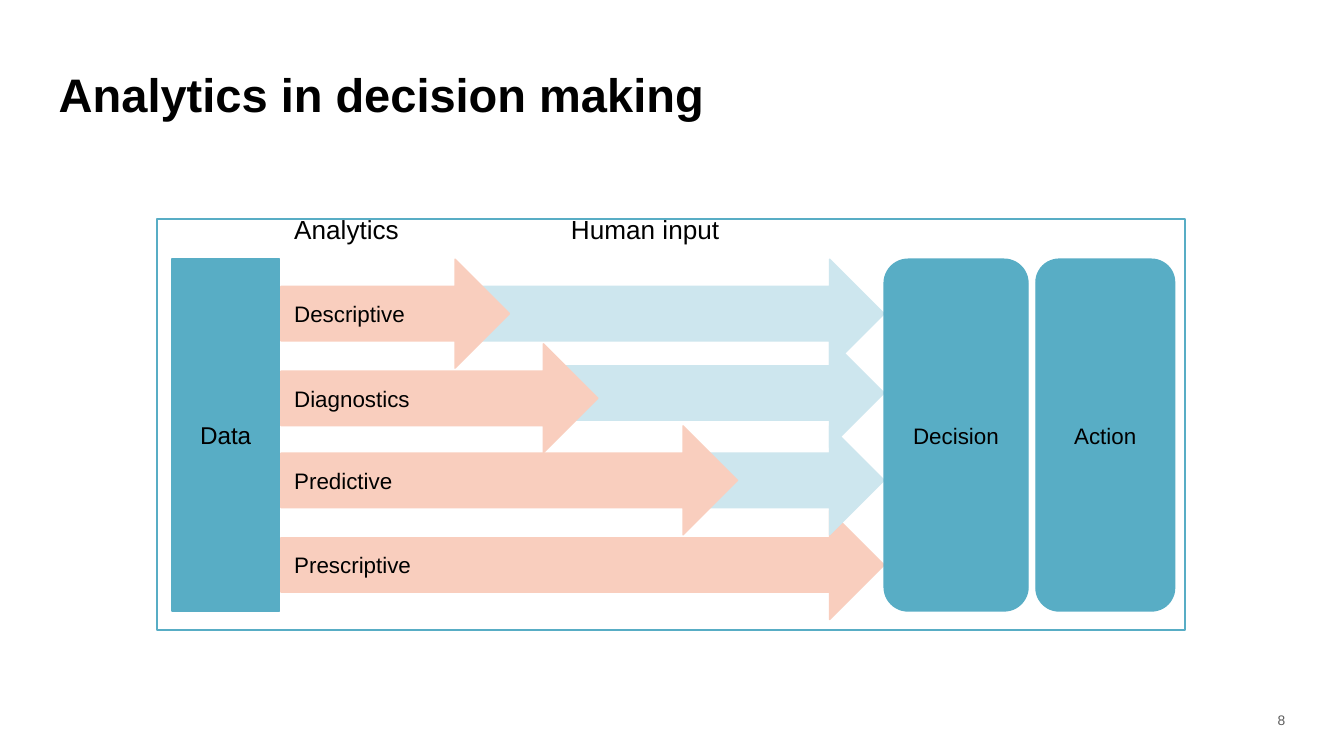
from pptx import Presentation
from pptx.dml.color import RGBColor
from pptx.enum import shapes, text
from pptx.util import Cm, Pt

BLACK = RGBColor(0, 0, 0)
WHITE = RGBColor(255, 255, 255)
GREY = RGBColor(0x5D, 0x5D, 0x5D)
TEAL = RGBColor(0x58, 0xAD, 0xC5)
PALE = RGBColor(0xCD, 0xE6, 0xEE)
PEACH = RGBColor(0xF9, 0xCE, 0xBE)

KIND = shapes.MSO_SHAPE
ALIGN = text.PP_ALIGN
ANCHOR = text.MSO_ANCHOR

# All lengths are in centimetres.
TITLE = "Analytics in decision making"
NUMBER = "8"
PANEL = (2.97, 4.14, 19.43, 7.77)
TOP, TALL = 4.9, 6.65
START, END, THICK = 5.31, 16.71, 2.06

# label, kind, left, width, text size
BLOCKS = [
    ("Data", KIND.RECTANGLE, 3.25, 2.03, 13),
    ("Decision", KIND.ROUNDED_RECTANGLE, END, 2.72, 12),
    ("Action", KIND.ROUNDED_RECTANGLE, 19.58, 2.62, 12),
]
# label, top, tip of analytics, (top, left) of human input
STAGES = [
    ("Descriptive", TOP, 9.63, (TOP, 8.76)),
    ("Diagnostics", 6.5, 11.3, (6.4, 10.41)),
    ("Predictive", 8.05, 13.94, (8.05, 13)),
    ("Prescriptive", 9.65, END, None),
]
HEADS = [("Analytics", START), ("Human input", 10.54)]


def write(shape, words, size, align=ALIGN.LEFT, anchor=ANCHOR.MIDDLE,
          color=BLACK, bold=False):
    frame = shape.text_frame
    frame.word_wrap = True
    frame.vertical_anchor = anchor
    frame.margin_left = frame.margin_right = Cm(0.25)
    frame.margin_top = frame.margin_bottom = Cm(0.25)
    para = frame.paragraphs[0]
    para.alignment = align
    run = para.add_run()
    run.text = words
    font = run.font
    font.name, font.size, font.bold = "Arial", Pt(size), bold
    font.color.rgb = color


def draw(slide, kind, box, fill, line):
    shape = slide.shapes.add_shape(kind, *map(Cm, box))
    shape.shadow.inherit = False
    shape.fill.solid()
    shape.fill.fore_color.rgb = fill
    shape.line.color.rgb = line
    shape.line.width = Pt(0.75)
    return shape


def arrow(slide, left, top, tip, color):
    box = (left, top, tip - left, THICK)
    return draw(slide, KIND.RIGHT_ARROW, box, color, color)


def label(slide, box, words, size, **style):
    write(slide.shapes.add_textbox(*map(Cm, box)), words, size, **style)


def main():
    deck = Presentation()
    deck.slide_width, deck.slide_height = Cm(25.4), Cm(14.29)
    slide = deck.slides.add_slide(deck.slide_layouts[5])

    title = slide.shapes.title
    title.left, title.top = Cm(0.86), Cm(0.97)
    title.width, title.height = Cm(22.63), Cm(1.6)
    write(title, TITLE, 25.2, bold=True)

    draw(slide, KIND.RECTANGLE, PANEL, WHITE, TEAL)

    # Upper rows overlap the lower ones, so draw from the bottom up.
    for name, top, tip, human in reversed(STAGES):
        if human:
            row, left = human
            arrow(slide, left, row, END, PALE)
        write(arrow(slide, START, top, tip, PEACH), name, 12)

    for name, kind, left, width, size in BLOCKS:
        block = draw(slide, kind, (left, TOP, width, TALL), TEAL, TEAL)
        write(block, name, size, align=ALIGN.CENTER)

    for name, left in HEADS:
        label(slide, (left, 3.78, 4.32, 1.12), name, 14, anchor=ANCHOR.TOP)

    label(slide, (23.52, 13.23, 1.02, 0.76), NUMBER, 7.4,
          align=ALIGN.RIGHT, color=GREY)

    deck.save("out.pptx")


if __name__ == "__main__":
    main()
